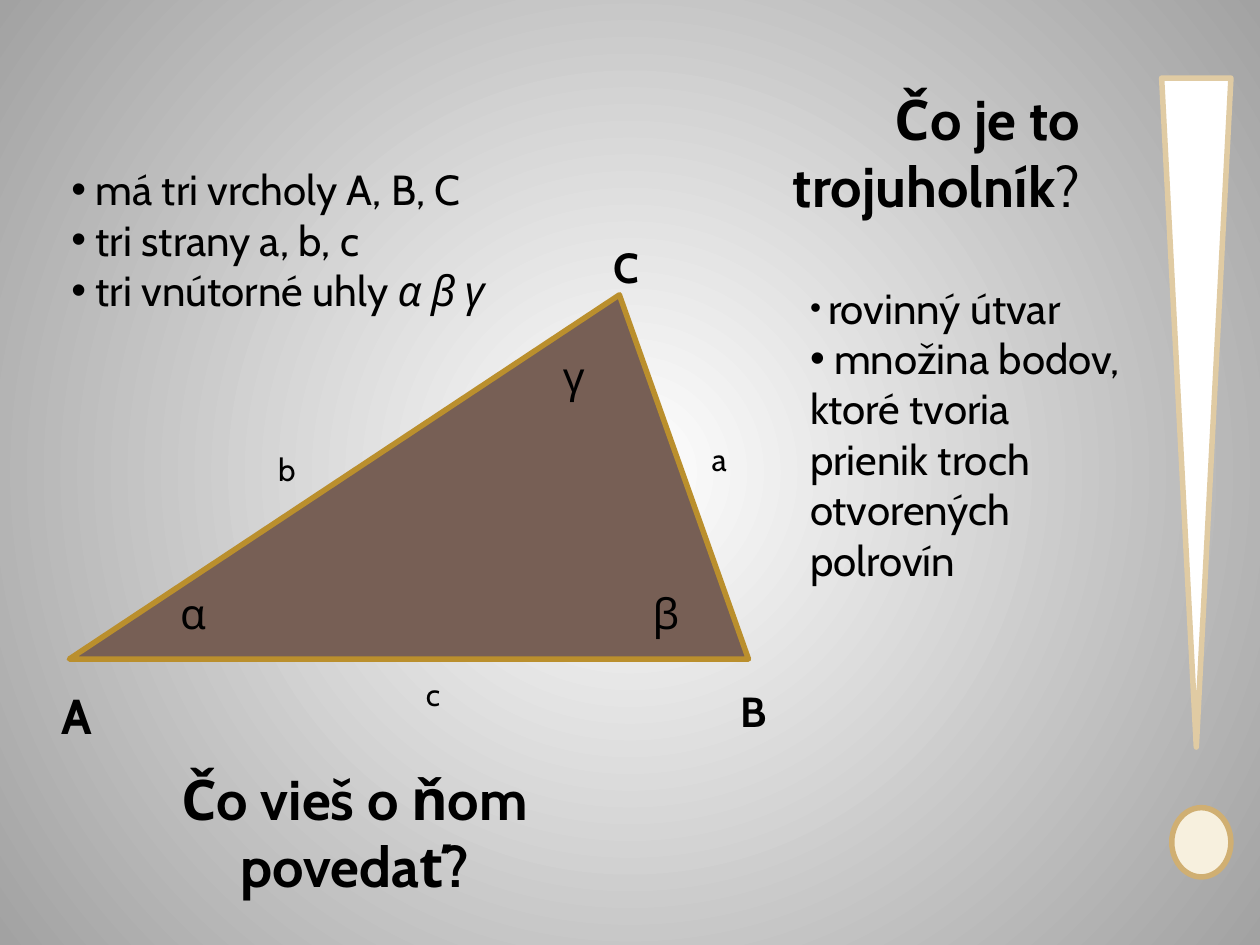
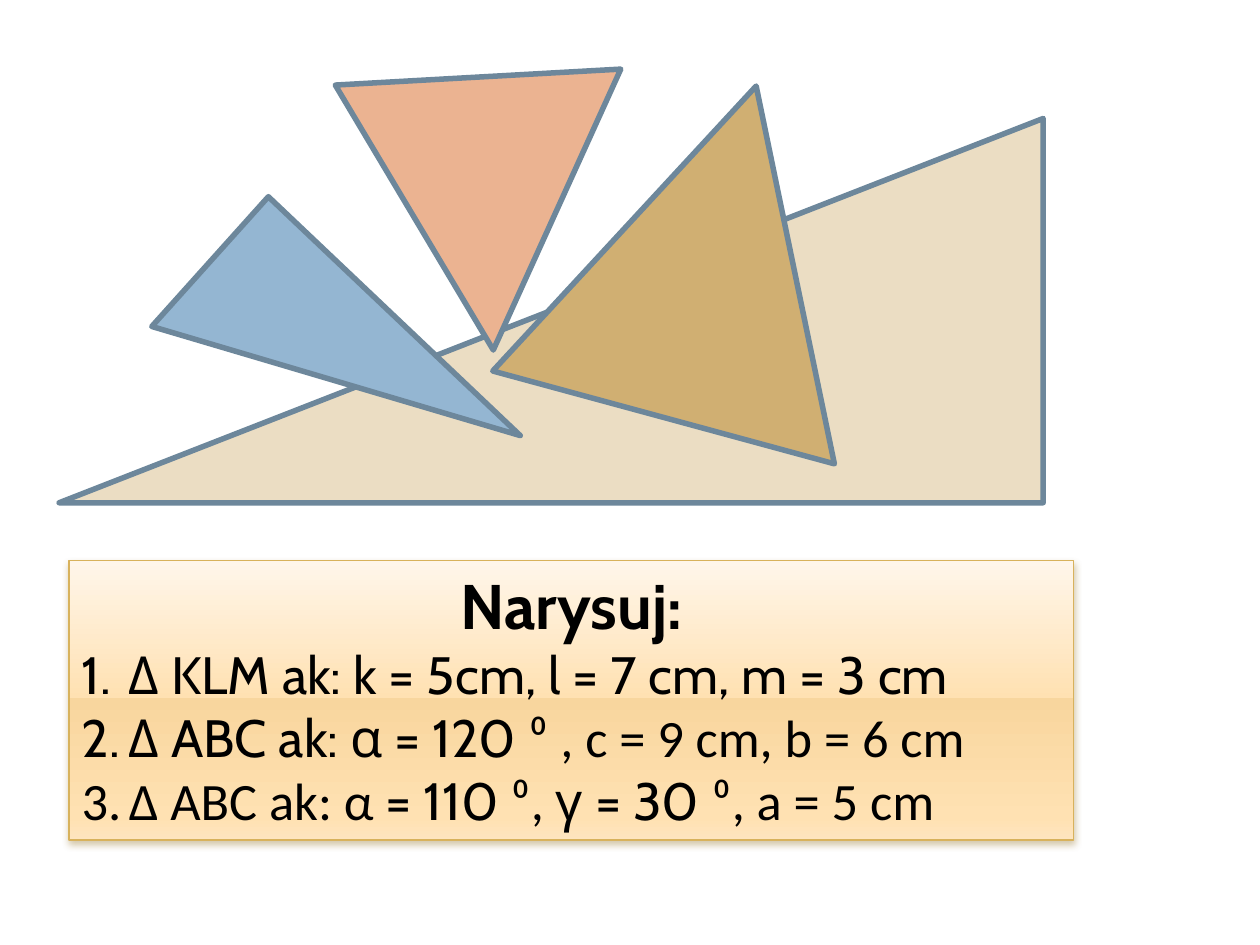
from lxml.etree import SubElement
from pptx import Presentation
from pptx.dml.color import RGBColor
from pptx.enum.shapes import MSO_SHAPE as SHAPE
from pptx.enum.text import MSO_ANCHOR as ANCHOR, PP_ALIGN as ALIGN
from pptx.oxml.ns import qn
from pptx.util import Pt

# Shared look
COLORS = {
    "text": "000000", "white": "FFFFFF", "grey": "A2A2A2",
    "brown": "775F55", "brown edge": "BA8F2D",
    "mark edge": "E0CBA3", "dot": "F7F0DE", "gold": "D0AF72",
    "slate": "6D879B", "sand": "EBDDC3", "blue": "94B6D2", "peach": "EBB391",
    "box edge": "D8B25C", "box shadow": "927124",
    "box top": "FFF6EA", "box light": "FFE1B2", "box mid": "F8D69E", "box end": "FEE5BF",
}
FONT, DEGREE_FONT = "Cabin", "Calibri"
EDGE = 3.15
INSET = 7.2

# Slide 1: each paragraph is a list of (text, format) runs
HEADINGS = [
    ((337.7, 44.6, 286.6, 85), ALIGN.RIGHT,
     [("Čo je to trojuholník", {}), ("?", {"bold": False})]),
    ((39.6, 433.4, 326.2, 85), ALIGN.CENTER, [("Čo vieš o ňom povedať?", {})]),
]
BULLET_LISTS = [
    ((455.8, 157.7, 191.5, 239.8), [
        [(" ", {"size": 18}), ("rovinný útvar", {})],
        [(" množina bodov, ktoré tvoria prienik troch otvorených polrovín", {})],
    ]),
    ((33.8, 90, 298.1, 123.8), [
        [(" má tri vrcholy A, B, C", {})],
        [(" tri strany a, b, c", {})],
        [(" tri vnútorné uhly ", {}), ("α β γ", {"italic": True})],
    ]),
]
# Triangle labels: text, left, top, width, size, bold
LABELS = [
    ("A", 28.1, 388.1, 28.1, 28, True),
    ("B", 416.2, 388.1, 28.1, 24, True),
    ("C", 343.4, 134.6, 39.6, 24, True),
    ("a", 399.6, 247.7, 16.6, 18, False),
    ("b", 151.9, 253.4, 39.6, 18, False),
    ("c", 236.2, 382.3, 22.3, 18, False),
    ("α", 95.8, 331.9, 33.8, 24, False),
    ("γ", 314.6, 196.6, 56.2, 24, False),
    ("β", 365.8, 331.9, 33.8, 24, False),
]

# Slide 2
TASK_TITLE = "Narysuj:"
DEGREE = {"font": DEGREE_FONT}
TASKS = [
    [("Δ KLM ak: k = 5cm, l = 7 cm, m = 3 cm", {})],
    [("Δ ABC ak: α = 120 ", {}), ("⁰ , c = 9 cm, b = 6 cm", DEGREE)],
    [("Δ ABC ak: α", DEGREE), (" = 110 ", {}), ("⁰, ", DEGREE),
     ("γ = 30 ", {}), ("⁰, a = 5 cm", DEGREE)],
]
# Triangles: frame, apex position, rotation, fill
TRIANGLES = [
    ((33.8, 67.7, 562.3, 219.6), 1, 0, "sand"),
    ((303.8, 45.4, 202.3, 196.6), 0.507, 15.2, "gold"),
    ((95, 129.6, 219.6, 90), 0.195, 16.5, "blue"),
    ((195.8, 43.9, 163.4, 156.2), 0.5, 176.8, "peach"),
]


def rgb(name):
    return RGBColor.from_string(COLORS[name])


def gradient(parent, stops, path=False):
    """Swap the solid fill of parent for a top-down or circular gradient."""
    solid = parent.find(qn("a:solidFill"))
    grad = parent.makeelement(qn("a:gradFill"), {"rotWithShape": "1"})
    gs_list = SubElement(grad, qn("a:gsLst"))
    for pos, name in stops:
        gs = SubElement(gs_list, qn("a:gs"), pos=str(pos * 1000))
        SubElement(gs, qn("a:srgbClr"), val=COLORS[name])
    if path:
        el = SubElement(grad, qn("a:path"), path="circle")
        SubElement(el, qn("a:fillToRect"), {side: "50000" for side in "ltrb"})
    else:
        SubElement(grad, qn("a:lin"), ang="5400000", scaled="0")
    parent.replace(solid, grad)


def add_shape(s, kind, frame, fill, edge, width=EDGE, apex=None, rotation=0):
    sp = s.shapes.add_shape(kind, *map(Pt, frame))
    sp.shadow.inherit = False
    sp.fill.solid()
    sp.fill.fore_color.rgb = rgb(fill)
    sp.line.color.rgb = rgb(edge)
    sp.line.width = Pt(width)
    SubElement(sp.element.spPr.find(qn("a:ln")), qn("a:round"))
    sp.rotation = rotation
    if apex is not None:
        sp.adjustments[0] = apex
    return sp


def add_text(p, text, size=24, font=FONT, bold=False, italic=False):
    r = p.add_run()
    r.text = text
    r.font.name, r.font.size = font, Pt(size)
    r.font.bold, r.font.italic = bold, italic
    r.font.color.rgb = rgb("text")


def add_paragraph(tf, runs, first=False, align=ALIGN.LEFT, bullet=None, indent=0, **fmt):
    p = tf.paragraphs[0] if first else tf.add_paragraph()
    p.alignment = align
    if bullet:
        pPr = p._p.get_or_add_pPr()
        pPr.set("marL", str(Pt(indent)))
        pPr.set("indent", str(-Pt(indent)))
        if bullet == "number":
            SubElement(pPr, qn("a:buAutoNum"), type="arabicPeriod")
        else:
            SubElement(pPr, qn("a:buFont"), typeface="Arial")
            SubElement(pPr, qn("a:buChar"), char=bullet)
    for text, own in runs:
        add_text(p, text, **{**fmt, **own})


def text_box(s, frame, paragraphs, **fmt):
    tf = s.shapes.add_textbox(*map(Pt, frame)).text_frame
    tf.word_wrap = True
    for i, runs in enumerate(paragraphs):
        add_paragraph(tf, runs, first=i == 0, **fmt)


def new_slide(prs):
    s = prs.slides.add_slide(prs.slide_layouts[6])
    s.background.fill.solid()
    s.background.fill.fore_color.rgb = rgb("white")
    return s


def triangle_slide(prs):
    s = new_slide(prs)
    bg = next(s.element.iter(qn("p:bgPr")))
    gradient(bg, [(0, "white"), (100, "grey")], path=True)

    for frame, align, runs in HEADINGS:
        text_box(s, frame, [runs], align=align, size=32, bold=True)

    # Labelled triangle
    add_shape(s, SHAPE.ISOSCELES_TRIANGLE, (39.6, 168.5, 388.1, 208.1),
              "brown", "brown edge", apex=0.81)
    for text, x, y, w, size, bold in LABELS:
        text_box(s, (x, y, w, 1.2 * size + 2 * INSET / 2), [[(text, {})]],
                 size=size, bold=bold)
    for frame, paragraphs in BULLET_LISTS:
        text_box(s, frame, paragraphs, bullet="•")

    # Exclamation mark
    add_shape(s, SHAPE.ISOSCELES_TRIANGLE, (663.8, 44.6, 39.6, 382.3),
              "white", "mark edge", rotation=180)
    add_shape(s, SHAPE.OVAL, (669.6, 461.5, 33.8, 39.6), "dot", "gold")


def task_slide(prs):
    s = new_slide(prs)

    # Task box with soft shadow
    sp = add_shape(s, SHAPE.RECTANGLE, (39.6, 320.4, 573.8, 159.8),
                   "box light", "box edge", width=0.9)
    spPr = sp.element.spPr
    gradient(spPr, [(0, "box top"), (49, "box light"), (49, "box mid"),
                    (92, "box light"), (100, "box end")])
    shadow = SubElement(spPr.find(qn("a:effectLst")), qn("a:outerShdw"),
                        blurRad=str(Pt(4)), dist=str(Pt(2)), dir="5400000", rotWithShape="0")
    color = SubElement(shadow, qn("a:srgbClr"), val=COLORS["box shadow"])
    SubElement(color, qn("a:alpha"), val="38000")

    tf = sp.text_frame
    tf.word_wrap = True
    tf.vertical_anchor = ANCHOR.TOP
    add_paragraph(tf, [(TASK_TITLE, {})], first=True, align=ALIGN.CENTER, size=36, bold=True)
    for runs in TASKS:
        add_paragraph(tf, runs, bullet="number", indent=27, size=30)

    # Triangles
    for frame, apex, rotation, fill in TRIANGLES:
        add_shape(s, SHAPE.ISOSCELES_TRIANGLE, frame, fill, "slate",
                  apex=apex, rotation=rotation)


def main():
    prs = Presentation()
    prs.slide_width, prs.slide_height = Pt(720), Pt(540)
    triangle_slide(prs)
    task_slide(prs)
    prs.save("out.pptx")


if __name__ == "__main__":
    main()
